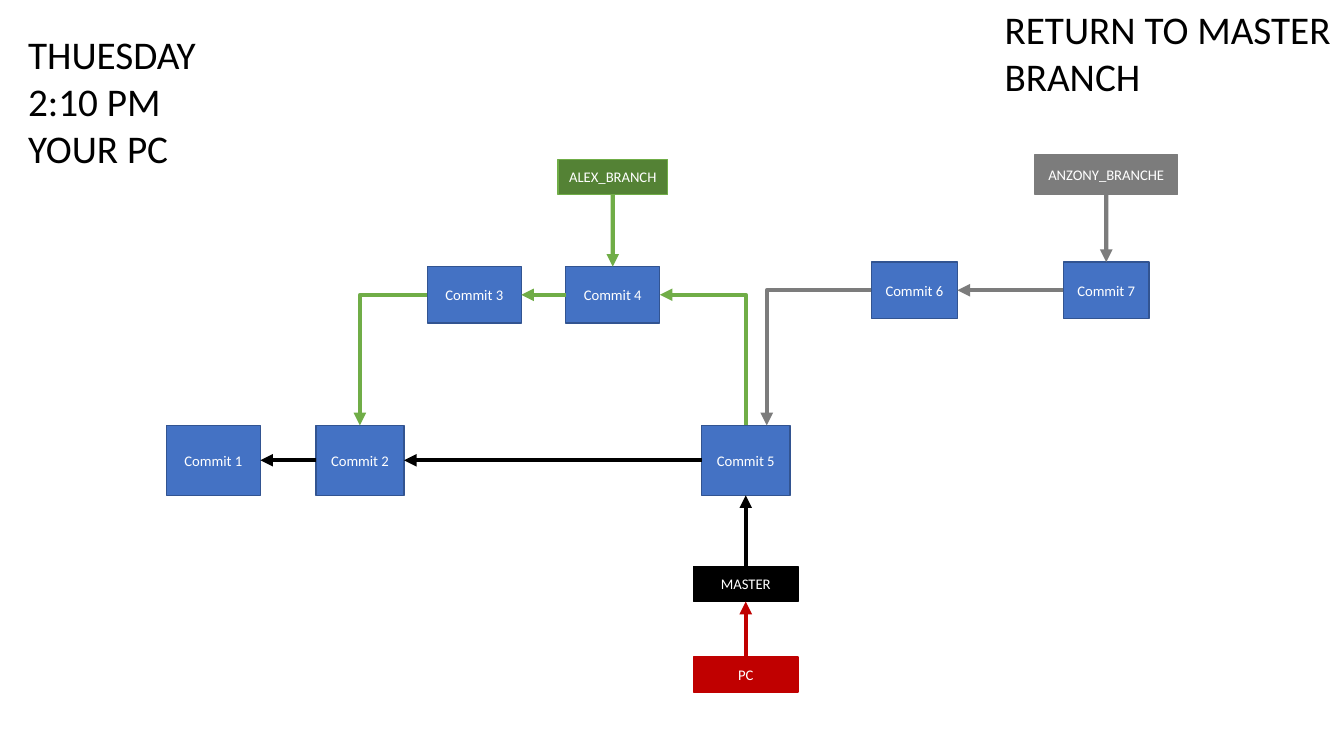
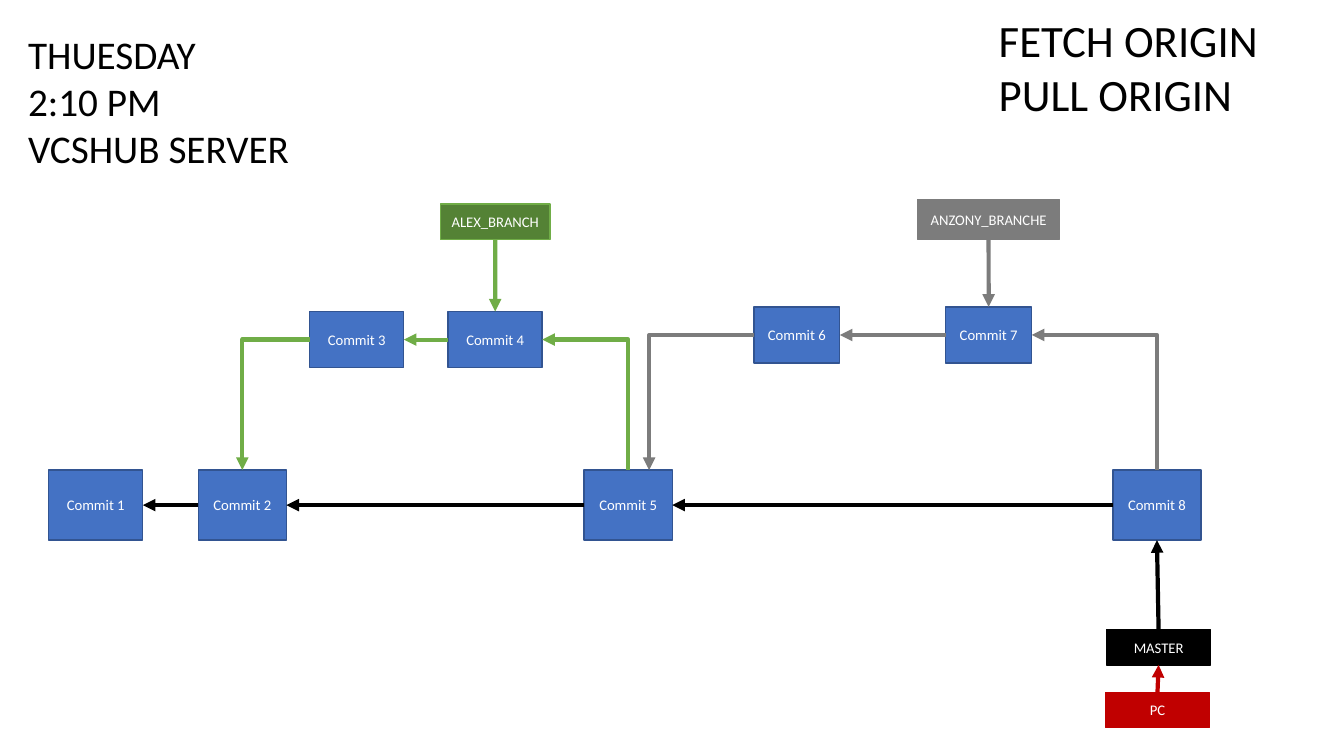
from pptx import Presentation
from pptx.dml.color import RGBColor
from pptx.enum.shapes import MSO_CONNECTOR, MSO_SHAPE
from pptx.enum.text import MSO_ANCHOR, MSO_AUTO_SIZE, PP_ALIGN
from pptx.oxml.ns import qn
from pptx.util import Pt
from lxml import etree

STRAIGHT = MSO_CONNECTOR.STRAIGHT
RECTANGLE = MSO_SHAPE.RECTANGLE
MIDDLE = MSO_ANCHOR.MIDDLE
LEFT_ALIGN, CENTER = PP_ALIGN.LEFT, PP_ALIGN.CENTER
FIT_SHAPE = MSO_AUTO_SIZE.SHAPE_TO_FIT_TEXT
TOP, LEFT, BOTTOM, RIGHT = range(4)  # connection sites of a rectangle

COLORS = {
    "text": "000000", "label": "FFFFFF",
    "commit": "4472C4", "commit_edge": "325491",
    "master": "000000", "pc": "C00000",
    "alex": "548235", "alex_edge": "70AD47", "anzony": "7C7C7C",
}

# Commits: left, top, width, height on the first slide
COMMITS = {
    "Commit 1": (118.8, 303.8, 67.2, 50),
    "Commit 2": (225.6, 303.8, 63, 50),
    "Commit 3": (305.2, 190.5, 67.2, 40.2),
    "Commit 4": (404.1, 190.5, 67.2, 40.2),
    "Commit 5": (501.2, 303.8, 63, 50),
    "Commit 6": (622.5, 187.2, 61.4, 40.2),
    "Commit 7": (759.5, 187.2, 61.4, 40.2),
}
POINTER_SIZE = (74.4, 25.2)


def color(name):
    return RGBColor.from_string(COLORS[name])


def write(frame, text, size=10.5, ink="label", align=CENTER):
    """Fill a text frame, one paragraph per line of text."""
    frame.word_wrap = True
    for number, line in enumerate(text.split("\n")):
        paragraph = frame.paragraphs[0] if number == 0 else frame.add_paragraph()
        paragraph.alignment = align
        run = paragraph.add_run()
        run.text = line
        run.font.name = "Calibri"
        run.font.size = Pt(size)
        run.font.color.rgb = color(ink)


class Deck:
    def __init__(self):
        self.show = Presentation()
        self.show.slide_width, self.show.slide_height = Pt(960), Pt(540)
        self.slide = None

    def new_slide(self):
        self.slide = self.show.slides.add_slide(self.show.slide_layouts[6])

    def heading(self, text, left, top, width, height, size=28):
        box = self.slide.shapes.add_textbox(Pt(left), Pt(top), Pt(width), Pt(height))
        write(box.text_frame, text, size=size, ink="text", align=LEFT_ALIGN)
        box.text_frame.auto_size = FIT_SHAPE

    def box(self, text, left, top, width, height, fill="commit", edge="commit_edge"):
        shape = self.slide.shapes.add_shape(
            RECTANGLE, Pt(left), Pt(top), Pt(width), Pt(height))
        shape.shadow.inherit = False
        shape.fill.solid()
        shape.fill.fore_color.rgb = color(fill)
        shape.line.color.rgb = color(edge)
        shape.line.width = Pt(1)
        frame = shape.text_frame
        frame.margin_left = frame.margin_right = 0
        frame.vertical_anchor = MIDDLE
        write(frame, text)
        return shape

    def connector(self, ink, x1=0, y1=0, x2=0, y2=0):
        line = self.slide.shapes.add_connector(STRAIGHT, x1, y1, x2, y2)
        line.line.color.rgb = color(ink)
        line.line.width = Pt(3)
        properties = line.line._get_or_add_ln()
        etree.SubElement(properties, qn("a:tailEnd"), type="triangle")
        etree.SubElement(line._element.spPr, qn("a:effectLst"))
        return line

    def arrow(self, start, start_site, end, end_site, ink):
        line = self.connector(ink)
        line.begin_connect(start, start_site)
        line.end_connect(end, end_site)

    def bent(self, ink, x1, y1, x2, y2):
        line = self.connector(ink, x1, y1, x2, y2)
        line._element.spPr.find(qn("a:prstGeom")).set("prst", "bentConnector2")
        return line

    def drop(self, start, end, ink, shift=0):
        """Go left from the start, then down to the top of the end."""
        self.bent(ink, start.left, start.top + start.height // 2,
                  end.left + end.width // 2 + Pt(shift), end.top)

    def climb(self, start, end, ink):
        """Go up from the start, then left to the right side of the end."""
        x1, y1 = start.left + start.width // 2, start.top
        x2, y2 = end.left + end.width, end.top + end.height // 2
        mid_x, mid_y = (x1 + x2) // 2, (y1 + y2) // 2
        half_rise, half_run = (y1 - y2) // 2, (x1 - x2) // 2
        # A quarter turn swaps the sides of the frame
        line = self.bent(ink, mid_x - half_rise, mid_y + half_run,
                         mid_x + half_rise, mid_y - half_run)
        line._element.spPr.find(qn("a:xfrm")).set("rot", "16200000")

    def history(self, dx=0, dy=0):
        """Draw the seven commits and both side branches."""
        def place(text, left, top, width, height, **style):
            return self.box(text, left + dx, top + dy, width, height, **style)

        commits = {name: place(name, *area) for name, area in COMMITS.items()}
        c1, c2, c3, c4, c5, c6, c7 = commits.values()
        alex = place("ALEX_BRANCH", 398.5, 113.8, 78.5, 25.2,
                     fill="alex", edge="alex_edge")
        anzony = place("ANZONY_BRANCHE", 739.4, 110.4, 101.5, 28.6,
                       fill="anzony", edge="anzony")

        for start, end, ink in ((c2, c1, "master"), (c5, c2, "master"),
                                (c4, c3, "alex_edge"), (c7, c6, "anzony")):
            self.arrow(start, LEFT, end, RIGHT, ink)
        self.arrow(alex, BOTTOM, c4, TOP, "alex_edge")
        self.arrow(anzony, BOTTOM, c7, TOP, "anzony")
        self.drop(c3, c2, "alex_edge")
        self.climb(c5, c4, "alex_edge")
        self.drop(c6, c5, "anzony", shift=15)
        return commits

    def pointers(self, commit, master_at, pc_at):
        """Draw MASTER below its commit and PC below MASTER."""
        master = self.box("MASTER", *master_at, *POINTER_SIZE,
                          fill="master", edge="master")
        pc = self.box("PC", *pc_at, *POINTER_SIZE, fill="pc", edge="pc")
        self.arrow(master, TOP, commit, BOTTOM, "master")
        self.arrow(pc, TOP, master, BOTTOM, "pc")

    def moment(self, place):
        self.heading(f"THUESDAY\n2:10 PM\n{place}", 13, 18, 249, 109)


def main():
    deck = Deck()

    # Back on the master branch
    deck.new_slide()
    deck.moment("YOUR PC")
    deck.heading("RETURN TO MASTER BRANCH", 710.5, 0, 249.5, 75)
    commits = deck.history()
    deck.pointers(commits["Commit 5"], (495.5, 404.6), (495.5, 469.2))

    # Server state with the merged commit
    deck.new_slide()
    deck.moment("VCSHUB SERVER")
    deck.heading("FETCH ORIGIN\nPULL ORIGIN", 706.3, 5.8, 256, 85, size=32)
    commits = deck.history(dx=-84, dy=32)
    merge = deck.box("Commit 8", 794.9, 335.8, 63, 50)
    deck.climb(merge, commits["Commit 7"], "anzony")
    deck.arrow(merge, LEFT, commits["Commit 5"], RIGHT, "master")
    deck.pointers(merge, (790.4, 449.8), (789.6, 494.6))

    deck.show.save("out.pptx")


if __name__ == "__main__":
    main()
